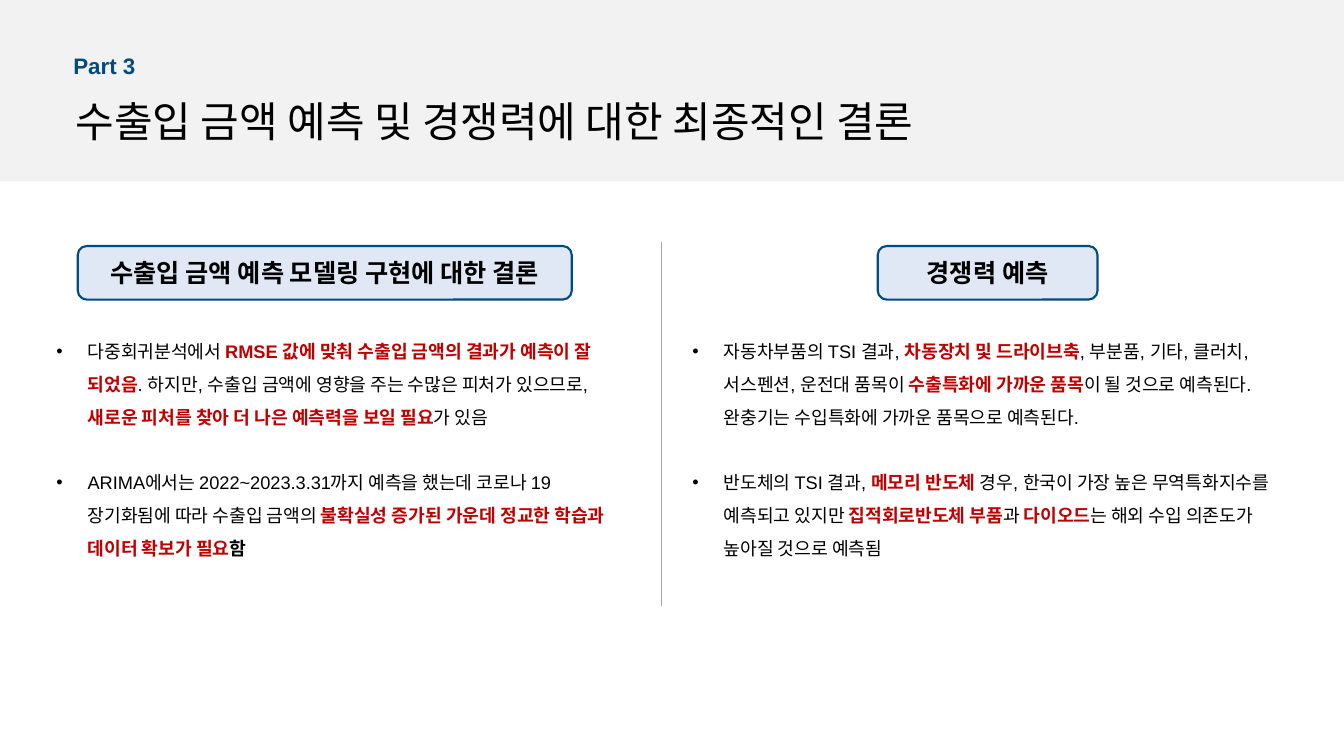
from lxml.etree import SubElement
from pptx import Presentation
from pptx.dml.color import RGBColor
from pptx.enum.shapes import MSO_CONNECTOR, MSO_SHAPE
from pptx.enum.text import MSO_ANCHOR as Anchor, MSO_AUTO_SIZE as AutoSize, PP_ALIGN as Align
from pptx.oxml.ns import qn
from pptx.util import Cm, Pt

COLORS = {"band": "F2F2F2", "navy": "024B80", "pale": "DFE8F4",
          "black": "000000", "red": "C00000", "divider": "A6A6A6"}
LATIN, KOREAN = "Arial", "Noto Sans CJK KR"

PART = "Part 3"
TITLE = "수출입 금액 예측 및 경쟁력에 대한 최종적인 결론"

# Style of a run: (color, bold)
PLAIN, KEY, STRONG = ("black", False), ("red", True), ("black", True)

# Horizontal places are (left, width) in cm
COLUMNS = [
    {
        "heading": "수출입 금액 예측 모델링 구현에 대한 결론",
        "heading_place": (1.96, 12.45),
        "body_place": (1.17, 14.66),
        "bullets": [
            [("다중회귀분석에서 ", PLAIN),
             ("RMSE 값에 맞춰 수출입 금액의 결과가 예측이 잘 되었음", KEY),
             (". 하지만, 수출입 금액에 영향을 주는 수많은 피처가 있으므로, ", PLAIN),
             ("새로운 피처를 찾아 더 나은 예측력을 보일 필요", KEY),
             ("가 있음", PLAIN)],
            [("ARIMA에서는 2022~2023.3.31까지 예측을 했는데 코로나 19 장기화됨에 따라 수출입 금액의 ", PLAIN),
             ("불확실성 증가된 가운데 정교한 학습과 데이터 확보가 필요", KEY),
             ("함", STRONG)],
        ],
    },
    {
        "heading": "경쟁력 예측",
        "heading_place": (22.12, 5.54),
        "body_place": (17.2, 15.88),
        "bullets": [
            [("자동차부품의 TSI 결과, ", PLAIN),
             ("차동장치 및 드라이브축", KEY),
             (", 부분품, 기타, 클러치, 서스펜션, 운전대 품목이 ", PLAIN),
             ("수출특화에 가까운 품목", KEY),
             ("이 될 것으로 예측된다. 완충기는 수입특화에 가까운 품목으로 예측된다.", PLAIN)],
            [("반도체의 TSI 결과, ", PLAIN),
             ("메모리 반도체 ", KEY),
             ("경우, 한국이 가장 높은 무역특화지수를 예측되고 있지만 ", PLAIN),
             ("집적회로반도체 부품", KEY),
             ("과 ", PLAIN),
             ("다이오드", KEY),
             ("는 해외 수입 의존도가 높아질 것으로 예측됨", PLAIN)],
        ],
    },
]
HEADING_TOP, HEADING_HEIGHT = 6.2, 1.35
BODY_TOP, BODY_HEIGHT = 8.18, 5.99
DIVIDER_X, DIVIDER_TOP, DIVIDER_BOTTOM = 16.66, 6.1, 15.27
BULLET_INDENT = Cm(0.79)


def rgb(name):
    return RGBColor.from_string(COLORS[name])


def add_span(para, text, size, style=PLAIN, font=KOREAN):
    color, bold = style
    span = para.add_run()
    span.text = text
    span.font.size = Pt(size)
    span.font.bold = bold
    span.font.color.rgb = rgb(color)
    span.font.name = font
    SubElement(span.font._element, qn("a:ea"), typeface=KOREAN)


def add_panel(page, kind, place, fill, line=None):
    panel = page.shapes.add_shape(kind, *map(Cm, place))
    panel.shadow.inherit = False
    panel.fill.solid()
    panel.fill.fore_color.rgb = rgb(fill)
    if line:
        panel.line.color.rgb = rgb(line)
        panel.line.width = Pt(1.5)
    else:
        panel.line.fill.background()
    return panel


def add_text_box(page, place):
    box = page.shapes.add_textbox(*map(Cm, place))
    box.text_frame.word_wrap = True
    return box.text_frame


def add_heading(page, column):
    left, width = column["heading_place"]
    panel = add_panel(page, MSO_SHAPE.ROUNDED_RECTANGLE,
                      (left, HEADING_TOP, width, HEADING_HEIGHT), "pale", "navy")
    panel.text_frame.vertical_anchor = Anchor.MIDDLE
    para = panel.text_frame.paragraphs[0]
    para.alignment = Align.CENTER
    add_span(para, column["heading"], 18, STRONG)


def add_bullets(page, column):
    left, width = column["body_place"]
    frame = add_text_box(page, (left, BODY_TOP, width, BODY_HEIGHT))
    for index, spans in enumerate(column["bullets"]):
        para = frame.add_paragraph() if index else frame.paragraphs[0]
        para.line_spacing = 1.5
        para.space_before = Pt(23.5 if index else 0)
        props = para._p.get_or_add_pPr()
        props.set("marL", str(BULLET_INDENT))
        props.set("indent", str(-BULLET_INDENT))
        SubElement(props, qn("a:buFont"), typeface=LATIN)
        SubElement(props, qn("a:buChar"), char="•")
        for text, style in spans:
            add_span(para, text, 13, style, LATIN)


def add_title(page):
    title = page.shapes.title
    title.left, title.top, title.width, title.height = map(Cm, (1.65, 2.29, 24.26, 1.55))
    frame = title.text_frame
    frame.auto_size = AutoSize.NONE
    frame.word_wrap = True
    frame.vertical_anchor = Anchor.TOP
    frame.paragraphs[0].alignment = Align.LEFT
    add_span(frame.paragraphs[0], TITLE, 30)


def add_divider(page):
    divider = page.shapes.add_connector(
        MSO_CONNECTOR.STRAIGHT, Cm(DIVIDER_X), Cm(DIVIDER_TOP), Cm(DIVIDER_X), Cm(DIVIDER_BOTTOM))
    divider.line.color.rgb = rgb("divider")
    divider.line.width = Pt(0.5)
    SubElement(divider.element.spPr, qn("a:effectLst"))


def main():
    deck = Presentation()
    deck.slide_width, deck.slide_height = Cm(33.87), Cm(19.05)
    page = deck.slides.add_slide(deck.slide_layouts[5])

    band = add_panel(page, MSO_SHAPE.RECTANGLE, (0, 0, 33.87, 4.57), "band")
    page.shapes.title.element.addprevious(band.element)  # the band lies behind the title
    part = add_text_box(page, (1.6, 1.19, 2.79, 0.94))
    add_span(part.paragraphs[0], PART, 16, ("navy", True), LATIN)
    add_title(page)

    for column in COLUMNS:
        add_heading(page, column)
        add_bullets(page, column)
    add_divider(page)
    deck.save("out.pptx")


if __name__ == "__main__":
    main()
